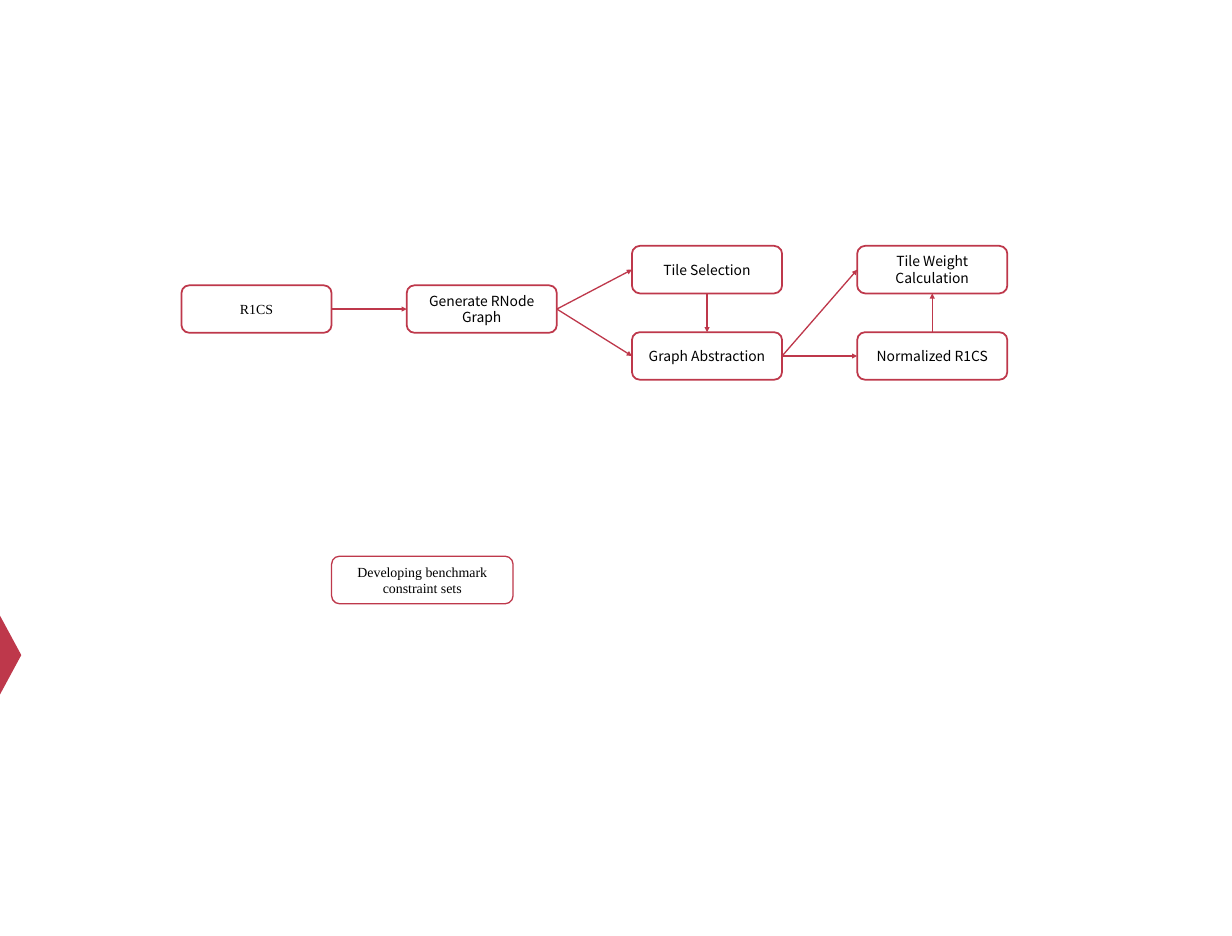
import pptx
import pptx.dml.color
import pptx.enum.shapes
import pptx.enum.text
import pptx.oxml
import pptx.oxml.ns
import pptx.util

PX = 9144  # EMU per px, 100 px to the inch
RED, BLACK = "BE384B", "000000"
SANS, SERIF = "Noto Sans CJK SC", "Times New Roman"
TOP, LEFT, BOTTOM, RIGHT = range(4)
SHAPES = pptx.enum.shapes.MSO_SHAPE

STEP_WIDTH, STEP_HEIGHT = 240, 76
COLUMN_PITCH, ROW_PITCH = 360, 138

# name: (label, font, column, row); the single boxes sit between the two rows
STEPS = {
    "input": ("R1CS", SERIF, 0, 0.46),
    "graph": ("Generate RNode Graph", SANS, 1, 0.46),
    "tiles": ("Tile Selection", SANS, 2, 0),
    "abstraction": ("Graph Abstraction", SANS, 2, 1),
    "weights": ("Tile Weight Calculation", SANS, 3, 0),
    "normalized": ("Normalized R1CS", SANS, 3, 1),
}
ARROWS = [
    ("input", RIGHT, "graph", LEFT),
    ("graph", RIGHT, "tiles", LEFT),
    ("graph", RIGHT, "abstraction", LEFT),
    ("tiles", BOTTOM, "abstraction", TOP),
    ("abstraction", RIGHT, "weights", LEFT),
    ("abstraction", RIGHT, "normalized", LEFT),
    ("normalized", TOP, "weights", BOTTOM),
]


def px(length):
    return pptx.util.Emu(round(length) * PX)


def color(value):
    return pptx.dml.color.RGBColor.from_string(value)


def add_label_box(page, box, label, font, line_width):
    shape = page.shapes.add_shape(SHAPES.ROUNDED_RECTANGLE, *map(px, box))
    shape.shadow.inherit = False
    shape.fill.background()
    shape.line.color.rgb = color(RED)
    shape.line.width = pptx.util.Pt(line_width)
    frame = shape.text_frame
    frame.word_wrap = True
    frame.vertical_anchor = pptx.enum.text.MSO_ANCHOR.MIDDLE
    para = frame.paragraphs[0]
    para.alignment = pptx.enum.text.PP_ALIGN.CENTER
    span = para.add_run()
    span.text = label
    span.font.name = font
    span.font.size = pptx.util.Pt(16)
    span.font.color.rgb = color(BLACK)
    return shape


def add_arrow(page, start, start_side, end, end_side):
    arrow = page.shapes.add_connector(
        pptx.enum.shapes.MSO_CONNECTOR.STRAIGHT, 0, 0, 0, 0)
    arrow.begin_connect(start, start_side)
    arrow.end_connect(end, end_side)
    arrow.line.color.rgb = color(RED)
    arrow.line.width = pptx.util.Pt(1.5)
    # Arrowhead, and an empty effect list against the theme shadow
    head = pptx.oxml.parse_xml(
        f'<a:tailEnd {pptx.oxml.ns.nsdecls("a")} type="triangle"/>')
    effects = pptx.oxml.parse_xml(
        f'<a:effectLst {pptx.oxml.ns.nsdecls("a")}/>')
    arrow.line._get_or_add_ln().append(head)
    arrow._element.spPr.append(effects)


def add_edge_marker(page, box):
    marker = page.shapes.add_shape(SHAPES.ISOSCELES_TRIANGLE, *map(px, box))
    marker.rotation = 90
    marker.shadow.inherit = False
    marker.fill.solid()
    marker.fill.fore_color.rgb = color(RED)
    marker.line.fill.background()


def add_flow(page, left, top):
    shapes = {}
    for name, (label, font, column, row) in STEPS.items():
        box = (left + column * COLUMN_PITCH, top + row * ROW_PITCH,
               STEP_WIDTH, STEP_HEIGHT)
        shapes[name] = add_label_box(page, box, label, font, 2)
    for start, start_side, end, end_side in ARROWS:
        add_arrow(page, shapes[start], start_side, shapes[end], end_side)


def main():
    deck = pptx.Presentation()
    deck.slide_width, deck.slide_height = px(1969), px(1496)
    page = deck.slides.add_slide(deck.slide_layouts[6])

    # Marker at the left edge
    add_edge_marker(page, (-46, 1030, 126, 34))
    # Processing steps
    add_flow(page, 290, 393)
    # Separate benchmark task
    add_label_box(page, (530, 889, 290, STEP_HEIGHT),
                  "Developing benchmark constraint sets", SERIF, 1.5)

    deck.save("out.pptx")


if __name__ == "__main__":
    main()
